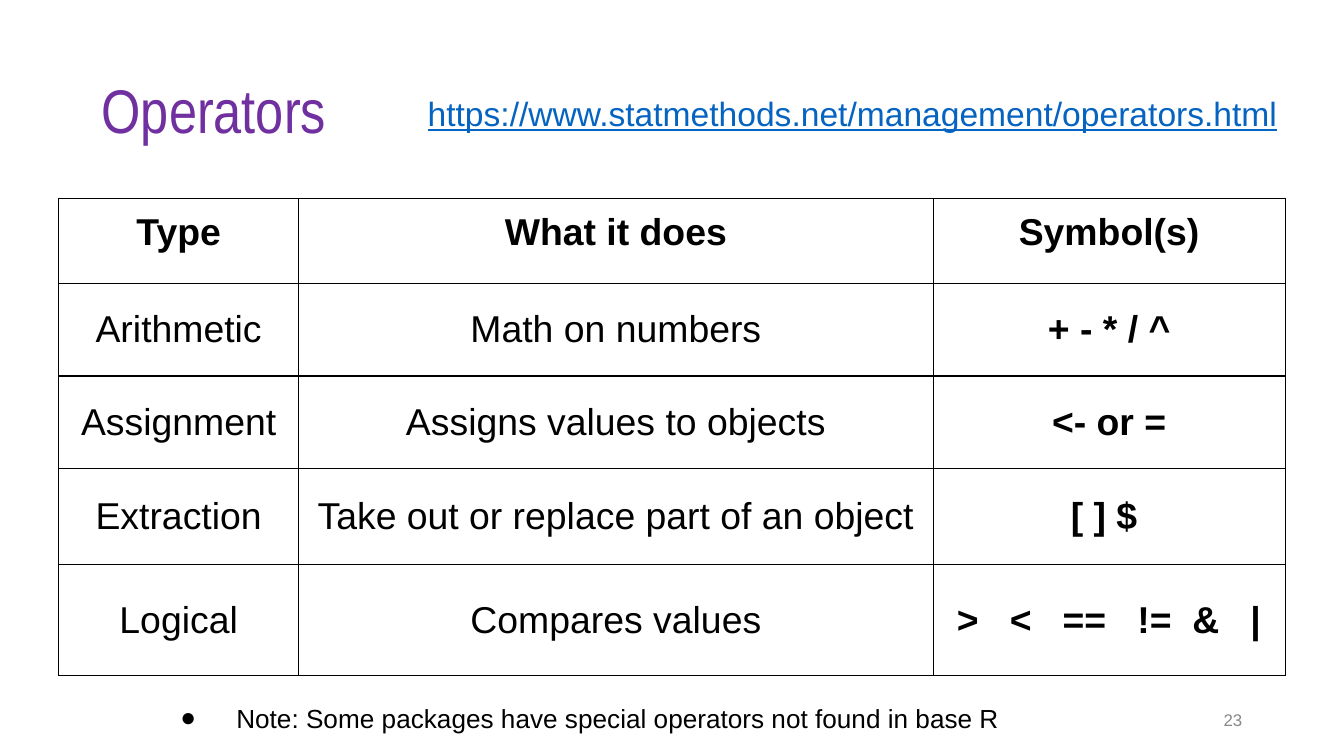
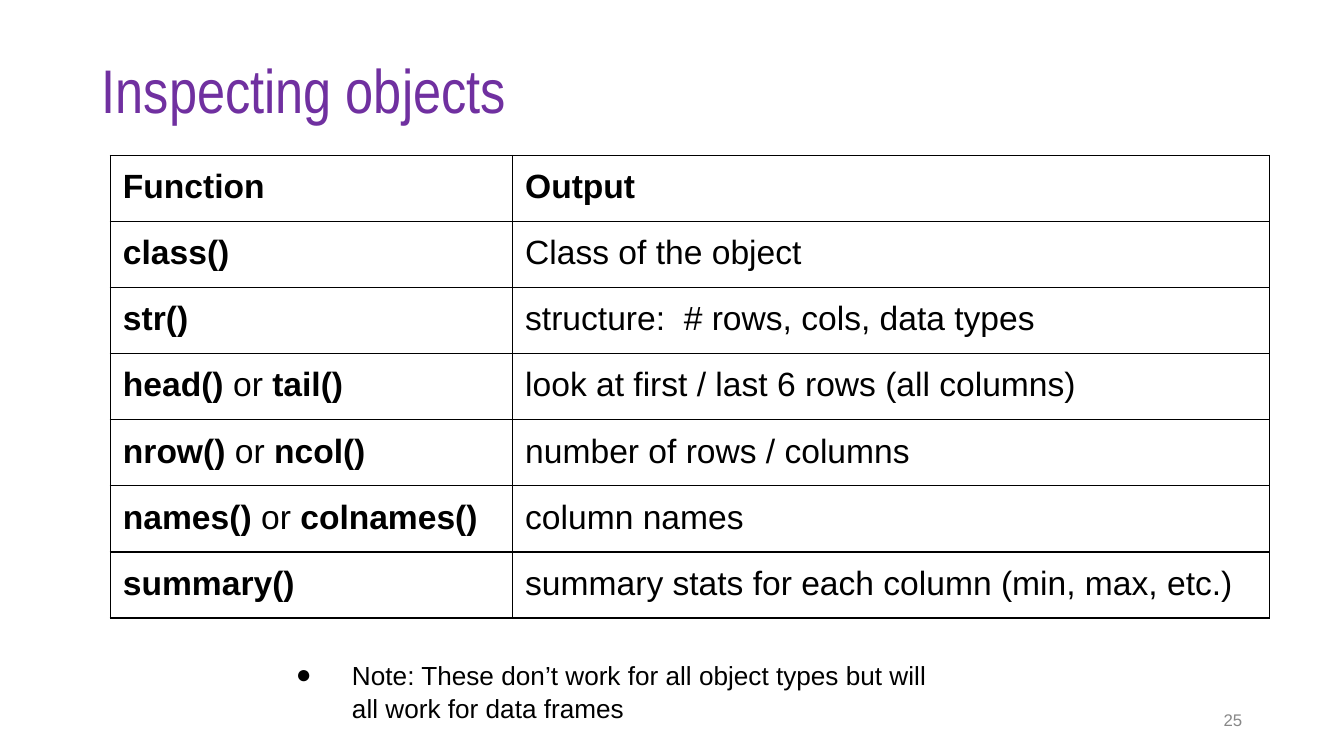
from lxml.etree import SubElement
from pptx import Presentation
from pptx.dml.color import RGBColor
from pptx.enum.text import MSO_ANCHOR, MSO_AUTO_SIZE, PP_ALIGN
from pptx.oxml.ns import qn
from pptx.util import Pt

COLORS = {"title": "7030A0", "text": "000000", "link": "0563C1",
          "number": "888888", "border": "000000"}
FONT, TITLE_FONT = "Arial", "Arial Narrow"
PLACEHOLDER_INSETS = (5, 3, 5, 3)
WIDE_INSETS = (6.9,) * 4
TIGHT_INSETS = (5.4, 2.7, 5.4, 2.7)

OPERATORS = [
    ("Type", "What it does", "Symbol(s)"),
    ("Arithmetic", "Math on numbers", "+ - * / ^"),
    ("Assignment", "Assigns values to objects", "<- or ="),
    ("Extraction", "Take out or replace part of an object", "[ ] $ "),
    ("Logical", "Compares values", ">   <   ==   !=  &   |"),
]
INSPECTORS = [
    ("Function", "Output"),
    ("class()", "Class of the object"),
    ("str()", "structure:  # rows, cols, data types"),
    ("head() or tail()", "look at first / last 6 rows (all columns)"),
    ("nrow() or ncol()", "number of rows / columns"),
    ("names() or colnames()", "column names"),
    ("summary()", "summary stats for each column (min, max, etc.)"),
]


def add_run(p, text, size, color="text", **fmt):
    r = p.add_run()
    r.text = text
    for name, value in {"name": FONT, "size": Pt(size), **fmt}.items():
        setattr(r.font, name, value)
    r.font.color.rgb = RGBColor.from_string(COLORS[color])


def set_insets(target, insets):
    for side, inset in zip(("left", "top", "right", "bottom"), insets):
        setattr(target, f"margin_{side}", Pt(inset))


def add_text_box(slide, box, insets, anchor=MSO_ANCHOR.MIDDLE):
    """Add an empty text box and return its text frame."""
    tf = slide.shapes.add_textbox(*map(Pt, box)).text_frame
    tf.word_wrap = True
    tf.vertical_anchor = anchor
    set_insets(tf, insets)
    return tf


def add_titled_slide(prs, title, top, number):
    slide = prs.slides.add_slide(prs.slide_layouts[5])
    sp = slide.shapes.title
    sp.left, sp.top, sp.width, sp.height = map(Pt, (49.5, top, 621, 78.5))
    tf = sp.text_frame
    tf.auto_size = MSO_AUTO_SIZE.NONE
    tf.vertical_anchor = MSO_ANCHOR.MIDDLE
    set_insets(tf, PLACEHOLDER_INSETS)
    p = tf.paragraphs[0]
    p.alignment = PP_ALIGN.LEFT
    p.line_spacing = 0.9
    add_run(p, title, 33, "title", name=TITLE_FONT)

    tf = add_text_box(slide, (508.5, 375, 162, 21.5), PLACEHOLDER_INSETS)
    tf.paragraphs[0].alignment = PP_ALIGN.RIGHT
    add_run(tf.paragraphs[0], str(number), 9, "number")
    return slide


def add_note(slide, box, text):
    tf = add_text_box(slide, box, (7.2, 3.6, 7.2, 3.6), MSO_ANCHOR.TOP)
    tf.auto_size = MSO_AUTO_SIZE.SHAPE_TO_FIT_TEXT
    p = tf.paragraphs[0]
    p.level = 1
    p.line_spacing = 1.07
    pPr = p._p.get_or_add_pPr()
    pPr.set("marL", str(Pt(33)))
    pPr.set("indent", str(Pt(-30)))
    color = SubElement(pPr, qn("a:buClr"))
    SubElement(color, qn("a:srgbClr"), val=COLORS["text"])
    SubElement(pPr, qn("a:buFont"), typeface=FONT)
    SubElement(pPr, qn("a:buChar"), char="●")
    add_run(p, text, 14)


def add_borders(cell):
    tcPr = cell._tc.get_or_add_tcPr()
    for side in "LRTB":
        line = SubElement(tcPr, qn(f"a:ln{side}"), w=str(Pt(0.75)))
        fill = SubElement(line, qn("a:solidFill"))
        SubElement(fill, qn("a:srgbClr"), val=COLORS["border"])


def add_grid(slide, left, top, widths, heights, rows, fill_cell):
    """Add a bordered table; fill_cell(cell, text, row, col) writes each cell."""
    table = slide.shapes.add_table(
        len(rows), len(widths), Pt(left), Pt(top),
        Pt(sum(widths)), Pt(sum(heights))).table
    table.first_row = table.horz_banding = False
    for column, width in zip(table.columns, widths):
        column.width = Pt(width)
    for i, (height, texts) in enumerate(zip(heights, rows)):
        table.rows[i].height = Pt(height)
        for j, text in enumerate(texts):
            cell = table.cell(i, j)
            add_borders(cell)
            cell.fill.background()
            fill_cell(cell, text, i, j)


def fill_operator_cell(cell, text, row, col):
    header = row == 0
    set_insets(cell, WIDE_INSETS if header or col == 1 else TIGHT_INSETS)
    cell.vertical_anchor = MSO_ANCHOR.TOP if header else MSO_ANCHOR.MIDDLE
    p = cell.text_frame.paragraphs[0]
    p.alignment = PP_ALIGN.CENTER
    add_run(p, text, 20, bold=header or col == 2)


def fill_inspector_cell(cell, text, row, col):
    """Set headers and function names bold, and the "or " between them plain."""
    set_insets(cell, WIDE_INSETS)
    p = cell.text_frame.paragraphs[0]
    if row and col:
        add_run(p, text, 18, bold=False)
        return
    first, joint, second = text.partition("or ") if row else (text, "", "")
    for part, bold in ((first, True), (joint, False), (second, True)):
        if part:
            add_run(p, part, 18, bold=bold)


def build_operators(prs):
    slide = add_titled_slide(prs, "Operators", 21.5, 23)
    tf = add_text_box(slide, (222, 42.5, 478, 36), (7.2,) * 4)
    add_run(tf.paragraphs[0],
            "https://www.statmethods.net/management/operators.html",
            18, "link", underline=True)
    add_grid(slide, 31.5, 106.5, (128.5, 340, 188.5),
             (45.5, 49.5, 49.5, 51.5, 59.5), OPERATORS, fill_operator_cell)
    add_note(slide, (86.5, 371.5, 512, 24.5),
             "Note: Some packages have special operators not found in base R")


def build_inspecting(prs):
    slide = add_titled_slide(prs, "Inspecting objects", 11, 25)
    add_grid(slide, 59, 83.25, (215.5, 405.5), (34.5,) * len(INSPECTORS),
             INSPECTORS, fill_inspector_cell)
    add_note(slide, (148.5, 348.5, 360, 41),
             "Note: These don’t work for all object types but will "
             "all work for data frames")


def main():
    prs = Presentation()
    prs.slide_width, prs.slide_height = Pt(720), Pt(405)
    build_operators(prs)
    build_inspecting(prs)
    prs.save("out.pptx")


if __name__ == "__main__":
    main()
